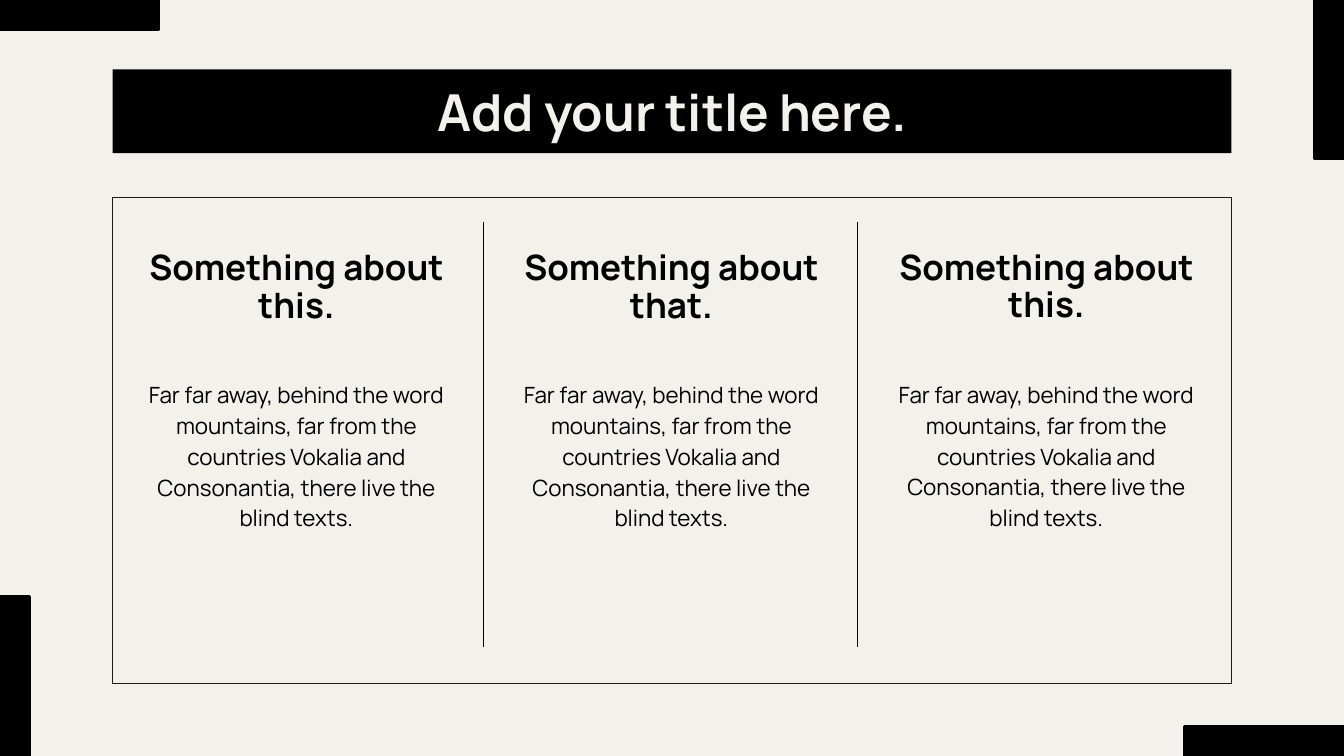
from lxml.etree import SubElement
from pptx import Presentation
from pptx.dml.color import RGBColor
from pptx.enum.shapes import MSO_CONNECTOR as Connector, MSO_SHAPE as Shape
from pptx.enum.text import MSO_ANCHOR as Anchor, MSO_AUTO_SIZE as AutoSize, PP_ALIGN as Align
from pptx.oxml.ns import qn
from pptx.util import Cm, Pt

SLIDE_WIDTH, SLIDE_HEIGHT = 33.87, 19.05
BLACK, FRAME_GREY, PAPER = "000000", "1C1B1A", "F3F1EC"
FONT = "Manrope"

HEADINGS = ["Something about this.", "Something about that.", "Something about this."]
BODY = ("Far far away, behind the word mountains, far from the countries "
        "Vokalia and Consonantia, there live the blind texts.")


def color(hex_code):
    return RGBColor.from_string(hex_code)


def write(shape, text, size, hex_code=BLACK, bold=False, anchor=Anchor.TOP,
          line_spacing=1.0, space_after=0):
    frame = shape.text_frame
    frame.word_wrap = True
    frame.auto_size = AutoSize.NONE
    frame.vertical_anchor = anchor
    frame.margin_left = frame.margin_right = Cm(0.33)
    frame.margin_top = frame.margin_bottom = Cm(0.33)
    frame.text = text
    paragraph = frame.paragraphs[0]
    paragraph.alignment = Align.CENTER
    paragraph.line_spacing = line_spacing
    paragraph.space_before = Pt(0)
    paragraph.space_after = Pt(space_after)
    properties = paragraph._p.get_or_add_pPr()
    properties.set("marL", "0")
    properties.set("indent", "0")
    SubElement(properties, qn("a:buNone"))
    font = paragraph.runs[0].font
    font.name, font.size, font.bold = FONT, Pt(size), bold
    font.color.rgb = color(hex_code)


class SlideBuilder:
    def __init__(self, presentation):
        comparison_layout = presentation.slide_layouts[4]
        self.slide = presentation.slides.add_slide(comparison_layout)
        self.shapes = self.slide.shapes
        fill = self.slide.background.fill
        fill.solid()
        fill.fore_color.rgb = color(PAPER)
        self.free = {item.placeholder_format.idx: item for item in self.slide.placeholders}

    def text(self, box, text, placeholder=None, **style):
        """Write into the given layout placeholder, or a text box if there is none."""
        left, top, width, height = map(Cm, box)
        shape = self.free.pop(placeholder, None)
        if shape is None:
            shape = self.shapes.add_textbox(left, top, width, height)
        shape.left, shape.top, shape.width, shape.height = left, top, width, height
        write(shape, text, **style)
        return shape

    def title(self, box, text):
        shape = self.text(box, text, placeholder=0, size=36.4, hex_code=PAPER,
                          bold=True, anchor=Anchor.MIDDLE)
        shape.fill.solid()
        shape.fill.fore_color.rgb = color(BLACK)

    def rectangle(self, box, line, line_width, fill=None):
        shape = self.shapes.add_shape(Shape.RECTANGLE, *map(Cm, box))
        shape.shadow.inherit = False
        if fill:
            shape.fill.solid()
            shape.fill.fore_color.rgb = color(fill)
        else:
            shape.fill.background()
        shape.line.color.rgb = color(line)
        shape.line.width = Pt(line_width)

    def divider(self, x, top, bottom):
        line = self.shapes.add_connector(Connector.STRAIGHT, Cm(x), Cm(top), Cm(x), Cm(bottom))
        line.line.color.rgb = color(BLACK)
        line.line.width = Pt(0.75)
        SubElement(line._element.spPr, qn("a:effectLst"))


def main():
    presentation = Presentation()
    presentation.slide_width, presentation.slide_height = Cm(SLIDE_WIDTH), Cm(SLIDE_HEIGHT)
    builder = SlideBuilder(presentation)

    builder.rectangle((2.84, 4.98, 28.19, 12.24), FRAME_GREY, 0.75)
    for x in (12.19, 21.62):
        builder.divider(x, 5.59, 16.31)

    builder.title((2.84, 1.75, 28.19, 2.11), "Add your title here.")
    for column, heading in enumerate(HEADINGS):
        left = 3.33 + column * 9.45
        heading_index = 1 + 2 * column
        builder.text((left, 9.17, 8.28, 6.78), BODY, placeholder=heading_index + 1,
                     size=16, line_spacing=1.15, space_after=16)
        builder.text((left, 5.97, 8.28, 2.67), heading, placeholder=heading_index,
                     size=25, bold=True, line_spacing=0.9)

    thick, long = 0.74, 4.01
    corner_bars = [
        (0, SLIDE_HEIGHT - long, thick, long),
        (SLIDE_WIDTH - thick, 0, thick, long),
        (0, 0, long, thick),
        (SLIDE_WIDTH - long, SLIDE_HEIGHT - thick, long, thick),
    ]
    for bar in corner_bars:
        builder.rectangle(bar, BLACK, 2, fill=BLACK)

    presentation.save("out.pptx")


if __name__ == "__main__":
    main()
